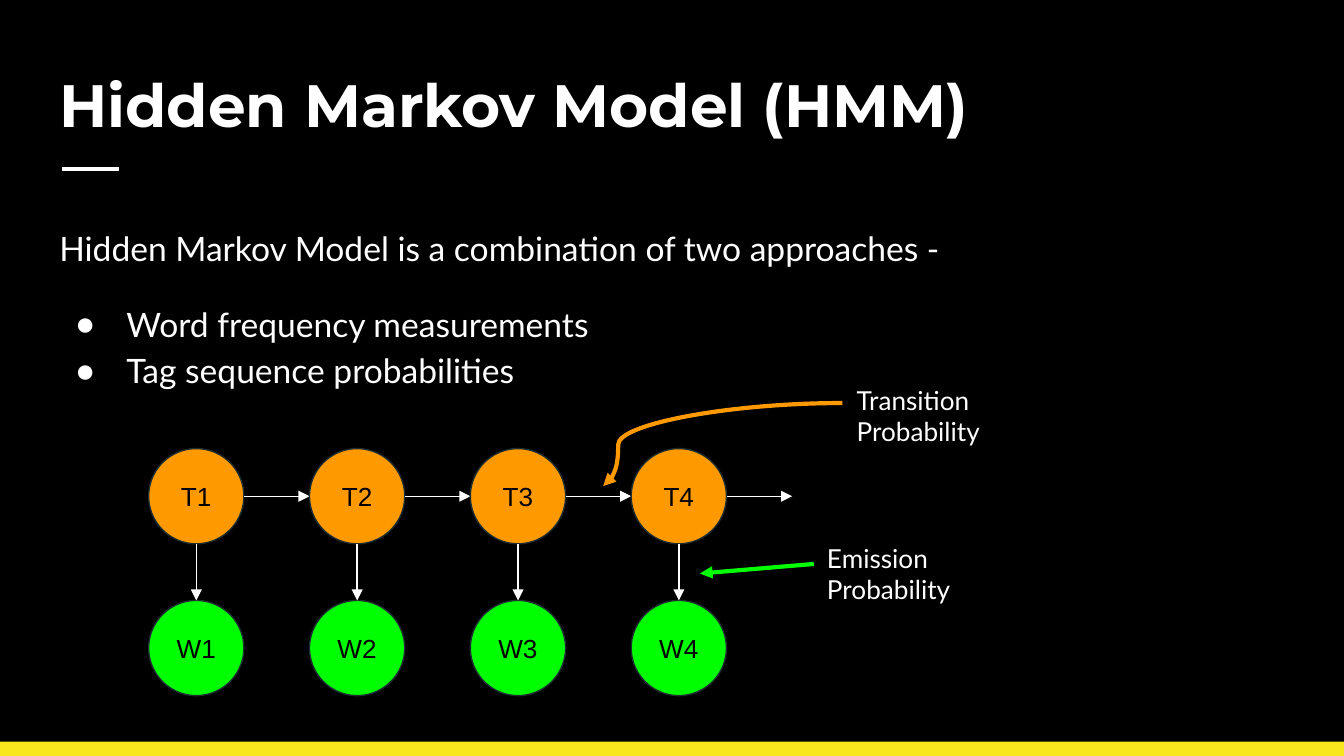
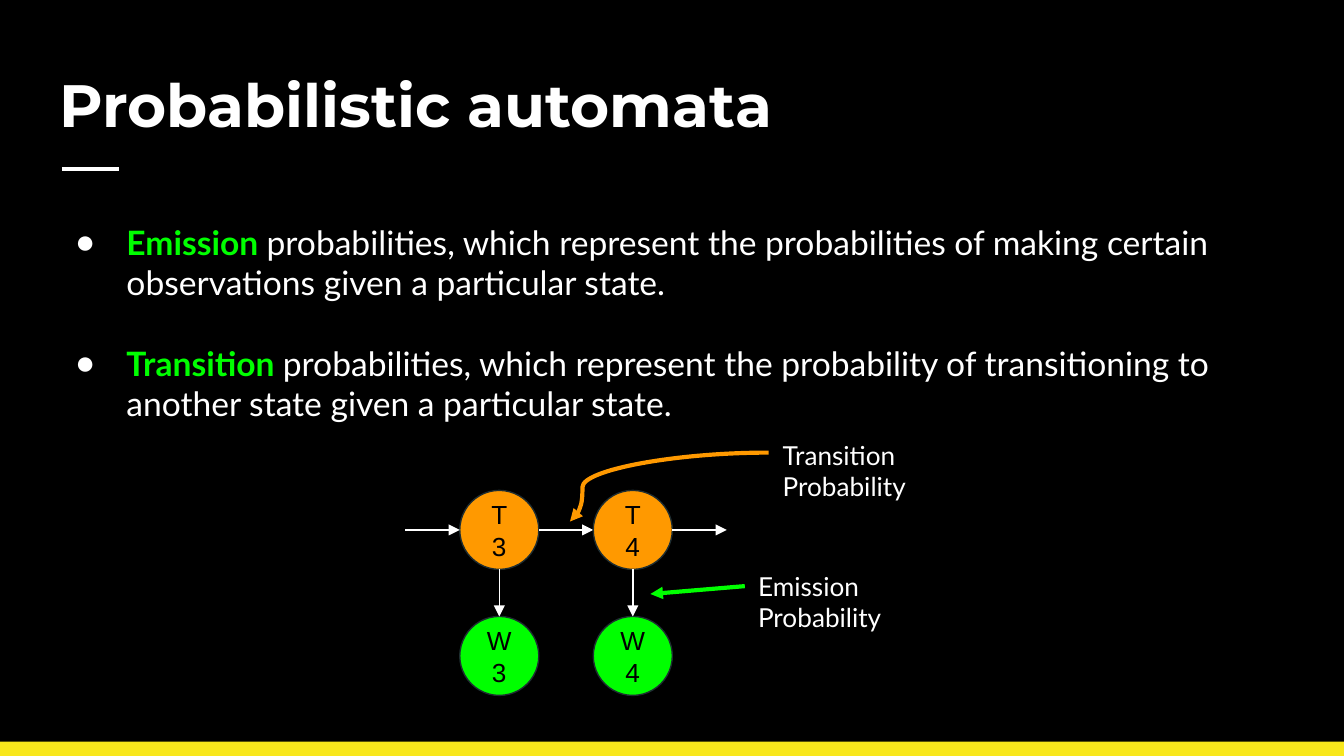
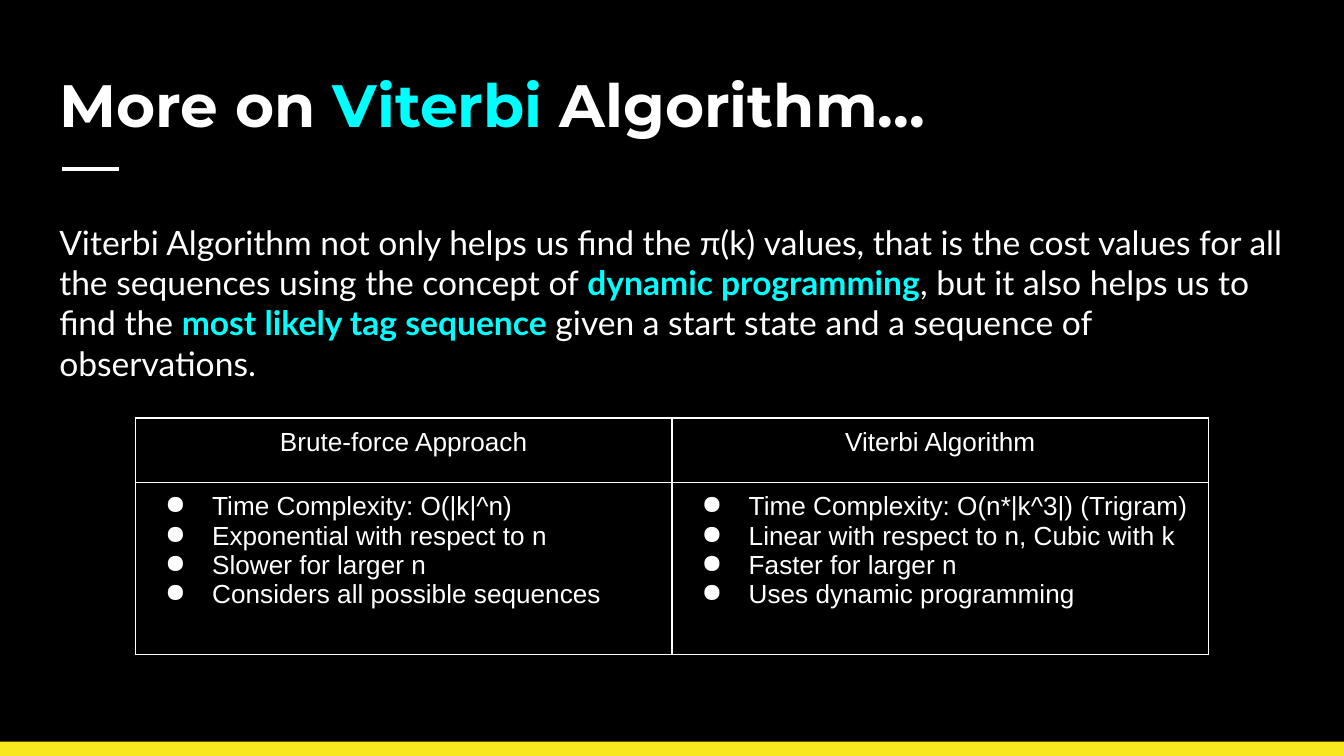
import pptx
import pptx.dml.color
import pptx.enum.shapes
import pptx.enum.text
import pptx.oxml.ns
import pptx.util
from lxml import etree

Cm = pptx.util.Cm
Pt = pptx.util.Pt
qn = pptx.oxml.ns.qn
SHAPE = pptx.enum.shapes.MSO_SHAPE
LINE = pptx.enum.shapes.MSO_CONNECTOR
ALIGN = pptx.enum.text.PP_ALIGN
ANCHOR = pptx.enum.text.MSO_ANCHOR

BLACK, WHITE, YELLOW = "000000", "FFFFFF", "F8E71C"
ORANGE, GREEN, CYAN, SLATE = "FF9900", "00FF00", "00FFFF", "1E2D31"

HEAD = {"name": "Montserrat", "size": Pt(32), "bold": True, "color": WHITE}
BODY = {"name": "Lato", "size": Pt(18), "bold": False, "color": WHITE}
LABEL = {**BODY, "size": Pt(14)}
CELL = {"name": "Arial", "size": Pt(14), "bold": False, "color": WHITE}
NODE = {**CELL, "color": BLACK}
LEFT = {"alignment": ALIGN.LEFT, "space_before": Pt(0)}
MID = {**LEFT, "alignment": ALIGN.CENTER}


def paint(code):
    return pptx.dml.color.RGBColor.from_string(code)


def put(item, vals):
    for key, val in vals.items():
        if key == "color":
            item.color.rgb = paint(val)
        else:
            setattr(item, key, val)


def pad(item, gap):
    put(item, {f"margin_{side}": Cm(gap) for side in ("left", "right", "top", "bottom")})


def mark(par, hang):
    props = par._p.get_or_add_pPr()
    props.set("marL", str(Cm(1.27) if hang else 0))
    props.set("indent", str(-Cm(hang)))
    if hang:
        tint = etree.SubElement(props, qn("a:buClr"))
        etree.SubElement(tint, qn("a:srgbClr"), val=WHITE)
        etree.SubElement(props, qn("a:buChar"), char="●")
    else:
        etree.SubElement(props, qn("a:buNone"))


def write(frame, pars, font, base=LEFT):
    for num, (parts, hang, extra) in enumerate(pars):
        par = frame.add_paragraph() if num else frame.paragraphs[0]
        mark(par, hang)
        put(par, {**base, **extra})
        for text, style in parts:
            run = par.add_run()
            run.text = text
            put(run.font, {**font, **style})


def plain(text, hang=0, **extra):
    return [(text, {})], hang, extra


def fill(frame, pars, font, base=LEFT, anchor=ANCHOR.TOP):
    put(frame, {"word_wrap": True, "vertical_anchor": anchor,
                "auto_size": pptx.enum.text.MSO_AUTO_SIZE.NONE})
    pad(frame, 0.25)
    write(frame, pars, font, base)


def place(shape, box):
    put(shape, dict(zip(("left", "top", "width", "height"), map(Cm, box))))


def solid(slide, kind, box, tone):
    shape = slide.shapes.add_shape(kind, *map(Cm, box))
    shape.shadow.inherit = False
    shape.fill.solid()
    shape.fill.fore_color.rgb = paint(tone)
    return shape


def link(slide, start, end, tone=WHITE, width=0.75, tip="tailEnd", kind=LINE.STRAIGHT):
    wire = slide.shapes.add_connector(kind, *map(Cm, (*start, *end)))
    put(wire.line, {"color": tone, "width": Pt(width)})
    props = wire._element.spPr
    if tip:
        etree.SubElement(props.find(qn("a:ln")), qn("a:" + tip), type="triangle")
    etree.SubElement(props, qn("a:effectLst"))
    return wire


def node(slide, text, box, tone):
    disc = solid(slide, SHAPE.OVAL, box, tone)
    put(disc.line, {"color": SLATE, "width": Pt(0.75)})
    fill(disc.text_frame, [plain(text)], NODE, MID, ANCHOR.MIDDLE)


def label(slide, text, box):
    note = slide.shapes.add_textbox(*map(Cm, box))
    fill(note.text_frame, [plain(text)], LABEL)


def chain(slide, left, top, scale, nums, lead=False):
    size, step, drop = 1.8 * scale, 3.04 * scale, 2.87 * scale
    half = size / 2
    last = left + step * (len(nums) - 1)

    def spot(across, down):
        return last + across * scale, top + down * scale

    for pos, num in enumerate(nums):
        edge = left + step * pos
        node(slide, f"T{num}", (edge, top, size, size), ORANGE)
        node(slide, f"W{num}", (edge, top + drop, size, size), GREEN)
        link(slide, (edge + half, top + size), (edge + half, top + drop))
        link(slide, (edge + size, top + half), (edge + step, top + half))
    if lead:
        link(slide, (left - step + size, top + half), (left, top + half))

    link(slide, spot(3.45, 2.18), spot(1.3, 2.36), GREEN, 2.25)
    curve = link(slide, spot(-0.53, 0.71), spot(3.99, -0.86), ORANGE, 2.25,
                 "headEnd", LINE.CURVE)
    bends = curve._element.spPr.find(qn("a:prstGeom")).find(qn("a:avLst"))
    etree.SubElement(bends, qn("a:gd"), name="adj1", fmla="val 6300")
    for text, start in (("Transition", (4.01, -1.47)), ("Emission", (3.45, 1.52))):
        label(slide, f"{text} Probability", (*spot(*start), 4.01 * scale, 1.09 * scale))


def edge(cell):
    props = cell._tc.get_or_add_tcPr()
    for side in "LRTB":
        rim = etree.SubElement(props, qn("a:ln" + side), w=str(Pt(1)))
        tint = etree.SubElement(rim, qn("a:solidFill"))
        etree.SubElement(tint, qn("a:srgbClr"), val=WHITE)


def grid(slide, box, highs, cols):
    table = slide.shapes.add_table(len(highs), len(cols), *map(Cm, box)).table
    put(table, {"first_row": False, "horz_banding": False})
    for row, high in zip(table.rows, highs):
        row.height = Cm(high)
    for col, (top, items) in enumerate(cols):
        blocks = [([plain(top)], MID), ([plain(item, 0.89) for item in items], LEFT)]
        for row, (pars, base) in enumerate(blocks):
            cell = table.cell(row, col)
            edge(cell)
            cell.fill.background()
            pad(cell, 0.18)
            write(cell.text_frame, pars, CELL, base)


def page(deck, title, pars):
    slide = deck.slides.add_slide(deck.slide_layouts[1])
    solid(slide, SHAPE.RECTANGLE, (0, 14.02, 25.4, 0.27), YELLOW).line.fill.background()
    link(slide, (1.17, 3.2), (2.24, 3.2), WHITE, 2.25, None)
    head, body = slide.placeholders
    place(head, (0.87, 1.04, 23.67, 1.8))
    place(body, (0.87, 3.94, 23.67, 8.76))
    fill(head.text_frame, [(title, 0, {})], HEAD)
    fill(body.text_frame, pars, BODY)
    return slide


def main():
    deck = pptx.Presentation()
    put(deck, {"slide_width": Cm(25.4), "slide_height": Cm(14.29)})
    back = deck.slide_master.background.fill
    back.solid()
    back.fore_color.rgb = paint(BLACK)

    model = page(deck, [("Hidden Markov Model (HMM)", {})], [
        plain("Hidden Markov Model is a combination of two approaches -", line_spacing=1.15),
        plain("Word frequency measurements", 0.97, line_spacing=1.15, space_before=Pt(16)),
        plain("Tag sequence probabilities", 0.97, line_spacing=1.15),
    ])
    chain(model, 2.81, 8.48, 1, (1, 2, 3, 4))

    lime = {"color": GREEN, "bold": True}
    states = page(deck, [("Probabilistic automata", {})], [
        ([("Emission ", lime),
          ("probabilities, which represent the probabilities of making certain "
           "observations given a particular state.", {})], 0.97, {}),
        ([("Transition ", lime),
          ("probabilities, which represent the probability of transitioning to "
           "another state given a particular state.", {})], 0.97,
         {"space_before": Pt(21.6)}),
    ])
    chain(states, 8.69, 9.27, 0.83, (3, 4), True)

    aqua = {"color": CYAN, "bold": True}
    search = page(deck, [("More on ", {}), ("Viterbi ", aqua), ("Algorithm...", {})], [
        ([("Viterbi Algorithm not only helps us find the π(k) values, that is the cost "
           "values for all the sequences using the concept of ", {}),
          ("dynamic programming", aqua),
          (", but it also helps us to find the ", {}),
          ("most likely tag sequence", aqua),
          (" given a start state and a sequence of observations.", {})], 0, {}),
    ])
    grid(search, (2.56, 7.9, 20.28, 4.47), (1.22, 3.25), [
        ("Brute-force Approach", [
            "Time Complexity: O(|k|^n)",
            "Exponential with respect to n",
            "Slower for larger n",
            "Considers all possible sequences",
        ]),
        ("Viterbi Algorithm", [
            "Time Complexity: O(n*|k^3|) (Trigram)",
            "Linear with respect to n, Cubic with k",
            "Faster for larger n",
            "Uses dynamic programming",
        ]),
    ])
    deck.save("out.pptx")


if __name__ == "__main__":
    main()
